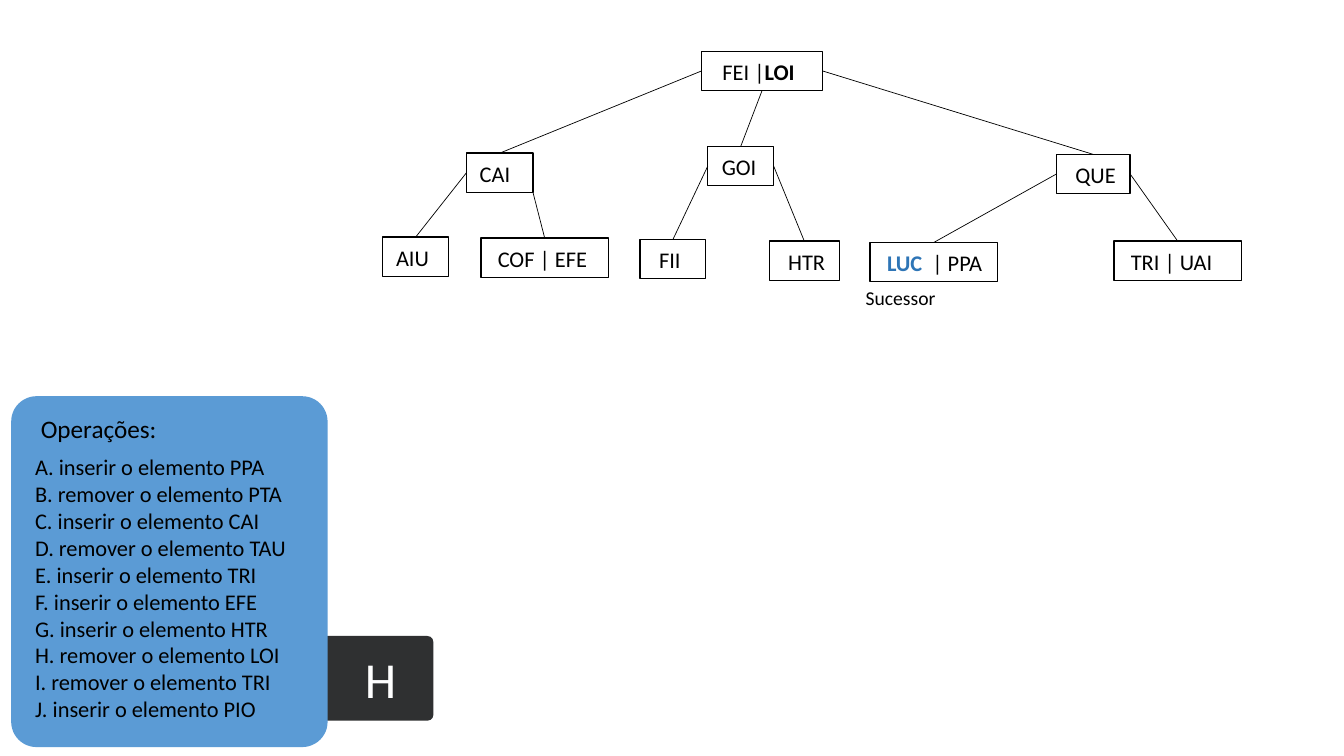
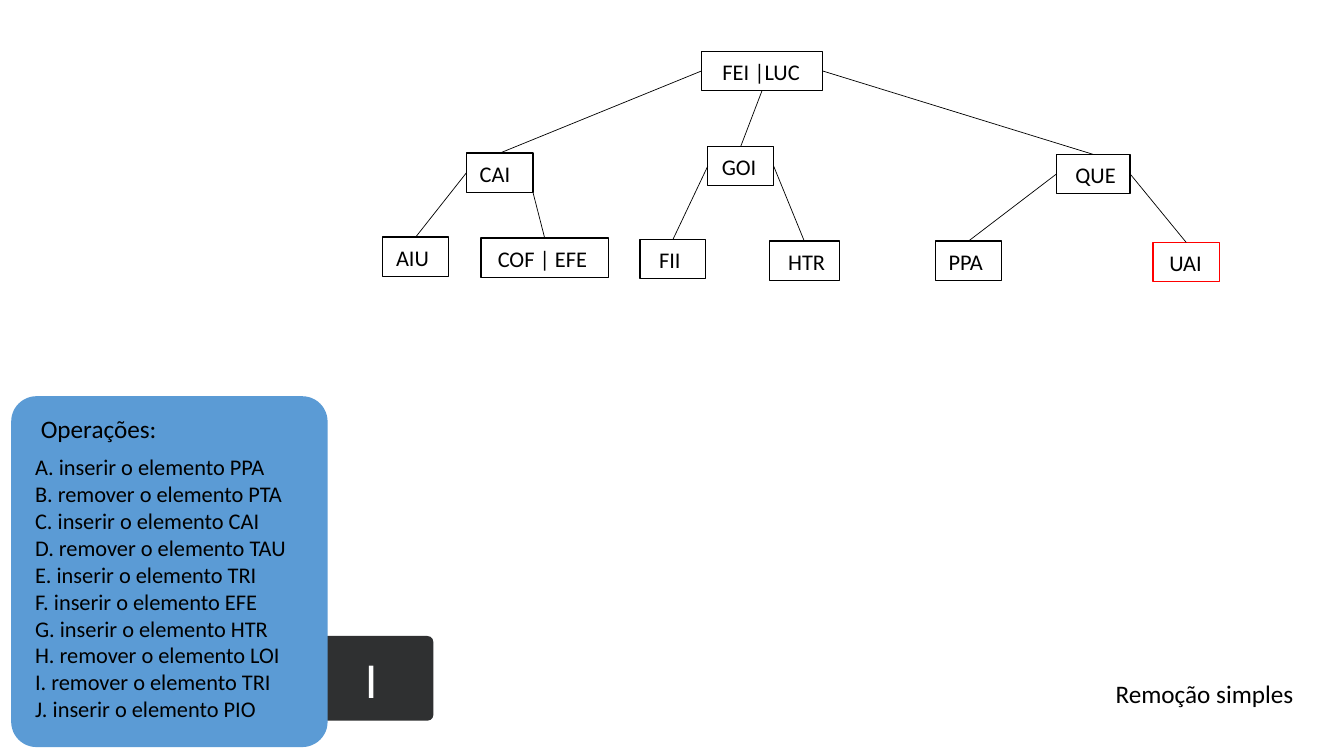
from pptx import Presentation
from pptx.dml.color import RGBColor
from pptx.enum.shapes import MSO_CONNECTOR, MSO_SHAPE
from pptx.enum.text import MSO_ANCHOR, PP_ALIGN
from pptx.oxml.ns import qn
from pptx.util import Pt
from lxml.etree import SubElement

FONT = "Calibri"
BLACK, WHITE, RED = "000000", "FFFFFF", "FF0000"
BLUE, PANEL, DARK = "2E75B6", "5B9BD5", "2F3031"
HIGH = 28
TOP, LEFT, BASE, RIGHT = range(4)
CORNER = "corner"

STEPS = [
    "A. inserir o elemento PPA",
    "B. remover o elemento PTA",
    "C. inserir o elemento CAI",
    "D. remover o elemento TAU",
    "E. inserir o elemento TRI",
    "F. inserir o elemento EFE",
    "G. inserir o elemento HTR",
    "H. remover o elemento LOI",
    "I. remover o elemento TRI",
    "J. inserir o elemento PIO",
]

# name: left, top, width, text inset, runs
NODES = {
    "CAI": (333.2, 109.4, 47.5, 9.5, [("CAI",)]),
    "GOI": (505.6, 104.6, 47, 10, [("GOI",)]),
    "QUE": (754.6, 110.3, 52.7, 13.6, [("QUE",)]),
    "AIU": (273.4, 169.4, 47, 9.5, [("AIU",)]),
    "COF": (343.6, 170.1, 91, 12, [("COF | EFE",)]),
    "FII": (457.2, 171, 47, 13.6, [("FII",)]),
    "HTR": (549.5, 172.2, 50, 13.5, [("HTR",)]),
}
EDGES = [
    ("root", LEFT, "CAI"), ("root", BASE, "GOI"), ("root", RIGHT, "QUE"),
    ("CAI", LEFT, "AIU"), ("CAI", CORNER, "COF"),
    ("GOI", LEFT, "FII"), ("GOI", RIGHT, "HTR"),
    ("QUE", LEFT, "low"), ("QUE", RIGHT, "high"),
]
ROOT = (501.1, 36.7, 86.5, 15)

SLIDES = [
    {
        "key": "H",
        "nodes": {
            "root": (*ROOT, [("FEI |",), ("LOI", BLACK, True)]),
            "low": (621.4, 173.2, 91.2, 12.2,
                    [("LUC ", BLUE, True), (" | PPA",)]),
            "high": (795.6, 172.2, 91.2, 12.2, [("TRI | UAI",)]),
        },
        "note": ("Sucessor", (599, 200.9, 88.6, 24.5), 14, PP_ALIGN.CENTER),
    },
    {
        "key": "I",
        "nodes": {
            "root": (*ROOT, [("FEI |LUC",)]),
            "low": (668.2, 172.2, 47.3, 9.3, [("PPA",)]),
            "high": (823.7, 173.2, 47.3, 11.5, [("UAI",)], RED),
        },
        "note": ("Remoção simples", (789.8, 481, 146.2, 29), 18,
                 PP_ALIGN.LEFT),
    },
]


def color(code):
    return RGBColor.from_string(code)


def write(shape, lines, size, inset=(7.2, 3.6), align=PP_ALIGN.LEFT,
          anchor=MSO_ANCHOR.TOP):
    frame = shape.text_frame
    frame.word_wrap = True
    frame.vertical_anchor = anchor
    frame.margin_left, frame.margin_top = map(Pt, inset)
    frame.margin_right = frame.margin_bottom = 0
    if align == PP_ALIGN.CENTER:
        frame.margin_right = frame.margin_left
    for pos, runs in enumerate(lines):
        para = frame.add_paragraph() if pos else frame.paragraphs[0]
        para.alignment = align
        for text, tint, bold in ((*run, BLACK, False)[:3] if len(run) == 1
                                 else run for run in runs):
            run = para.add_run()
            run.text = text
            run.font.name, run.font.size = FONT, Pt(size)
            run.font.bold = bold
            run.font.color.rgb = color(tint)


def label(slide, area, lines, size, **opts):
    write(slide.shapes.add_textbox(*map(Pt, area)), lines, size, **opts)


def block(slide, kind, area, fill, line=None, round=None):
    shape = slide.shapes.add_shape(kind, *map(Pt, area))
    shape.shadow.inherit = False
    shape.fill.solid()
    shape.fill.fore_color.rgb = color(fill)
    if line:
        shape.line.color.rgb = color(line)
        shape.line.width = Pt(1)
    else:
        shape.line.fill.background()
    if round:
        shape.adjustments[0] = round
    return shape


def node(slide, left, top, width, inset, runs, line=BLACK):
    shape = block(slide, MSO_SHAPE.RECTANGLE, (left, top, width, HIGH),
                  WHITE, line)
    write(shape, [runs], 16, inset=(inset, 5))
    return shape


def link(slide, start, site, end):
    edge = slide.shapes.add_connector(
        MSO_CONNECTOR.STRAIGHT, start.left + start.width,
        start.top + start.height, end.left + end.width // 2, end.top)
    if site != CORNER:
        edge.begin_connect(start, site)
    edge.end_connect(end, TOP)
    edge.line.color.rgb = color(BLACK)
    edge.line.width = Pt(0.5)
    SubElement(edge.element.spPr, qn("a:effectLst"))


def frame(slide, key):
    badge = block(slide, MSO_SHAPE.ROUNDED_RECTANGLE, (211, 454.3, 98.6, 60.5),
                  DARK, round=0.07)
    write(badge, [[(key, WHITE, False)]], 36, inset=(48.5, 0),
          anchor=MSO_ANCHOR.MIDDLE)
    block(slide, MSO_SHAPE.ROUNDED_RECTANGLE, (8, 283, 226, 250.6),
          PANEL, round=0.08)
    label(slide, (18, 291.6, 200, 29), [[("Operações:",)]], 18,
          inset=(11.2, 3.6))
    label(slide, (18, 320.4, 206.6, 201), [[(step,)] for step in STEPS], 16)


def main():
    deck = Presentation()
    deck.slide_width, deck.slide_height = Pt(960), Pt(540)
    for data in SLIDES:
        slide = deck.slides.add_slide(deck.slide_layouts[6])
        frame(slide, data["key"])
        boxes = {name: node(slide, *spec)
                 for name, spec in (NODES | data["nodes"]).items()}
        for start, site, end in EDGES:
            link(slide, boxes[start], site, boxes[end])
        text, area, size, align = data["note"]
        label(slide, area, [[(text,)]], size, align=align)
    deck.save("out.pptx")


if __name__ == "__main__":
    main()
